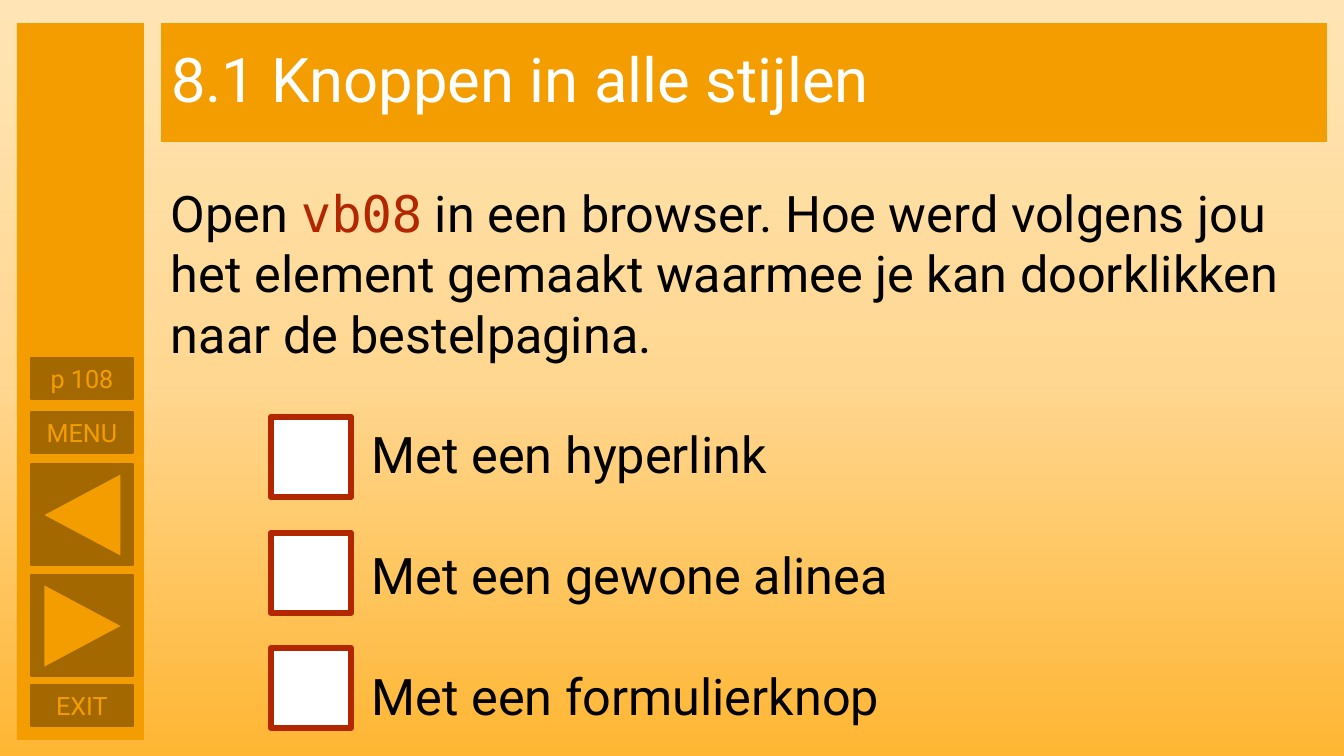
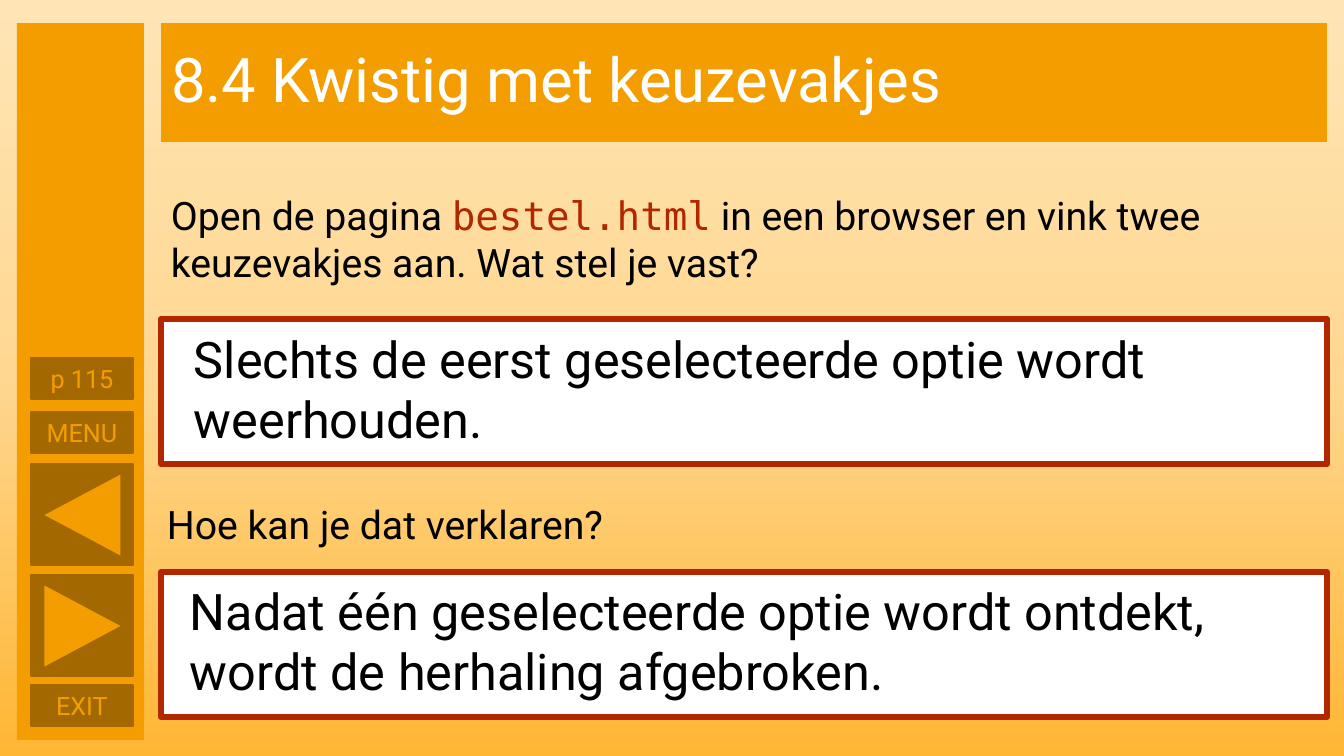
from lxml.etree import SubElement
from pptx import Presentation
from pptx.dml.color import RGBColor
from pptx.enum.shapes import MSO_SHAPE
from pptx.enum.text import MSO_ANCHOR, MSO_AUTO_SIZE, PP_ALIGN
from pptx.oxml.ns import qn
from pptx.util import Pt

EMU_PER_PX = 12192000 / 1344
COLORS = {
    "orange": "F49D00",
    "brown": "A36900",
    "red": "B22600",
    "white": "FFFFFF",
    "black": "000000",
}
BACKGROUND_STOPS = [(0, "FFE5B5"), (50, "FFD791"), (100, "FFB633")]
TEXT_FONT, CODE_FONT = "Roboto", "DejaVu Sans Mono"


def px(*lengths):
    return [round(length * EMU_PER_PX) for length in lengths]


def add_box(slide, kind, place, fill, line=None, line_width=1):
    shape = slide.shapes.add_shape(kind, *px(*place))
    shape.shadow.inherit = False
    shape.fill.solid()
    shape.fill.fore_color.rgb = RGBColor.from_string(COLORS[fill])
    if line:
        shape.line.color.rgb = RGBColor.from_string(COLORS[line])
        shape.line.width = Pt(line_width)
    else:
        shape.line.fill.background()
    return shape


def add_runs(paragraph, size, runs):
    """Add (text, colour) runs; red text is code and gets the code font."""
    for text, color in runs:
        run = paragraph.add_run()
        run.text = text
        run.font.size = Pt(size)
        run.font.name = CODE_FONT if color == "red" else TEXT_FONT
        run.font.color.rgb = RGBColor.from_string(COLORS[color])


presentation = Presentation()
presentation.slide_width, presentation.slide_height = px(1344, 756)

# Background gradient on the master
master = presentation.slide_master
background_fill = master.background.fill
background_fill.gradient()
background_fill.gradient_angle = 270
stop_list = master.element.find(".//" + qn("a:gsLst"))
for stop in list(stop_list):
    stop_list.remove(stop)
for position, color in BACKGROUND_STOPS:
    stop = SubElement(stop_list, qn("a:gs"), pos=str(position * 1000))
    SubElement(stop, qn("a:srgbClr"), val=color)

# Title band and navigation bar of every slide
slides = []
for title_text, page in [
    ("8.1 Knoppen in alle stijlen", "p 108"),
    ("8.4 Kwistig met keuzevakjes", "p 115"),
]:
    slide = presentation.slides.add_slide(presentation.slide_layouts[5])
    slides.append(slide)
    title = slide.shapes.title
    title.left, title.top, title.width, title.height = px(161, 23, 1166, 119)
    title.fill.solid()
    title.fill.fore_color.rgb = RGBColor.from_string(COLORS["orange"])
    title.text_frame.auto_size = MSO_AUTO_SIZE.NONE
    title.text_frame.vertical_anchor = MSO_ANCHOR.MIDDLE
    paragraph = title.text_frame.paragraphs[0]
    paragraph.alignment = PP_ALIGN.LEFT
    paragraph.line_spacing = 0.9
    add_runs(paragraph, 44, [(title_text, "white")])

    add_box(slide, MSO_SHAPE.RECTANGLE, (17, 23, 127, 717), "orange")
    for top, label in [(685, "EXIT"), (412, "MENU"), (358, page)]:
        button = add_box(slide, MSO_SHAPE.RECTANGLE, (31, top, 102, 41), "brown", "brown")
        button.text_frame.vertical_anchor = MSO_ANCHOR.MIDDLE
        paragraph = button.text_frame.paragraphs[0]
        paragraph.alignment = PP_ALIGN.CENTER
        add_runs(paragraph, 18, [(label, "orange")])
    for top, rotation in [(575, 90), (464, 270)]:
        add_box(slide, MSO_SHAPE.RECTANGLE, (31, top, 102, 101), "brown", "brown")
        arrow = add_box(slide, MSO_SHAPE.ISOSCELES_TRIANGLE, (42, top + 13, 81, 76), "orange")
        arrow.rotation = rotation

button_slide, checkbox_slide = slides

# White boxes with a red frame: tick boxes and answer frames
for index in range(3):
    place = (271, 417 + round(115.5 * index), 80, 80)
    add_box(button_slide, MSO_SHAPE.RECTANGLE, place, "white", "red", 4.5)
for top in (319, 572):
    add_box(checkbox_slide, MSO_SHAPE.RECTANGLE, (161, top, 1166, 145), "white", "red", 4.5)

# Questions and answers
text_frames = []
for slide, place, size, runs in [
    (button_slide, (161, 177, 1166, 559), 36, [
        ("Open ", "black"),
        ("vb08", "red"),
        (" in een browser. Hoe werd volgens jou het element gemaakt waarmee"
         " je kan doorklikken naar de bestelpagina.", "black"),
    ]),
    (checkbox_slide, (161, 186, 1166, 105), 28, [
        ("Open de pagina ", "black"),
        ("bestel.html", "red"),
        (" in een browser en vink twee keuzevakjes aan. Wat stel je vast?", "black"),
    ]),
    (checkbox_slide, (157, 495, 1166, 57), 28, [("Hoe kan je dat verklaren?", "black")]),
    (checkbox_slide, (184, 323, 1120, 132), 36, [
        ("Slechts de eerst geselecteerde optie wordt weerhouden.", "black"),
    ]),
    (checkbox_slide, (180, 575, 1120, 132), 36, [
        ("Nadat één geselecteerde optie wordt ontdekt,"
         " wordt de herhaling afgebroken.", "black"),
    ]),
]:
    text_frame = slide.shapes.add_textbox(*px(*place)).text_frame
    text_frame.word_wrap = True
    text_frame.auto_size = MSO_AUTO_SIZE.SHAPE_TO_FIT_TEXT
    add_runs(text_frame.paragraphs[0], size, runs)
    text_frames.append(text_frame)

# Options beside the tick boxes
option_indent = px(201)[0]
for option in ("Met een hyperlink", "Met een gewone alinea", "Met een formulierknop"):
    paragraph = text_frames[0].add_paragraph()
    paragraph.space_before = Pt(43)
    paragraph_properties = paragraph._p.get_or_add_pPr()
    paragraph_properties.set("marL", str(option_indent))
    paragraph_properties.set("indent", "0")
    add_runs(paragraph, 36, [(option, "black")])

presentation.save("out.pptx")
